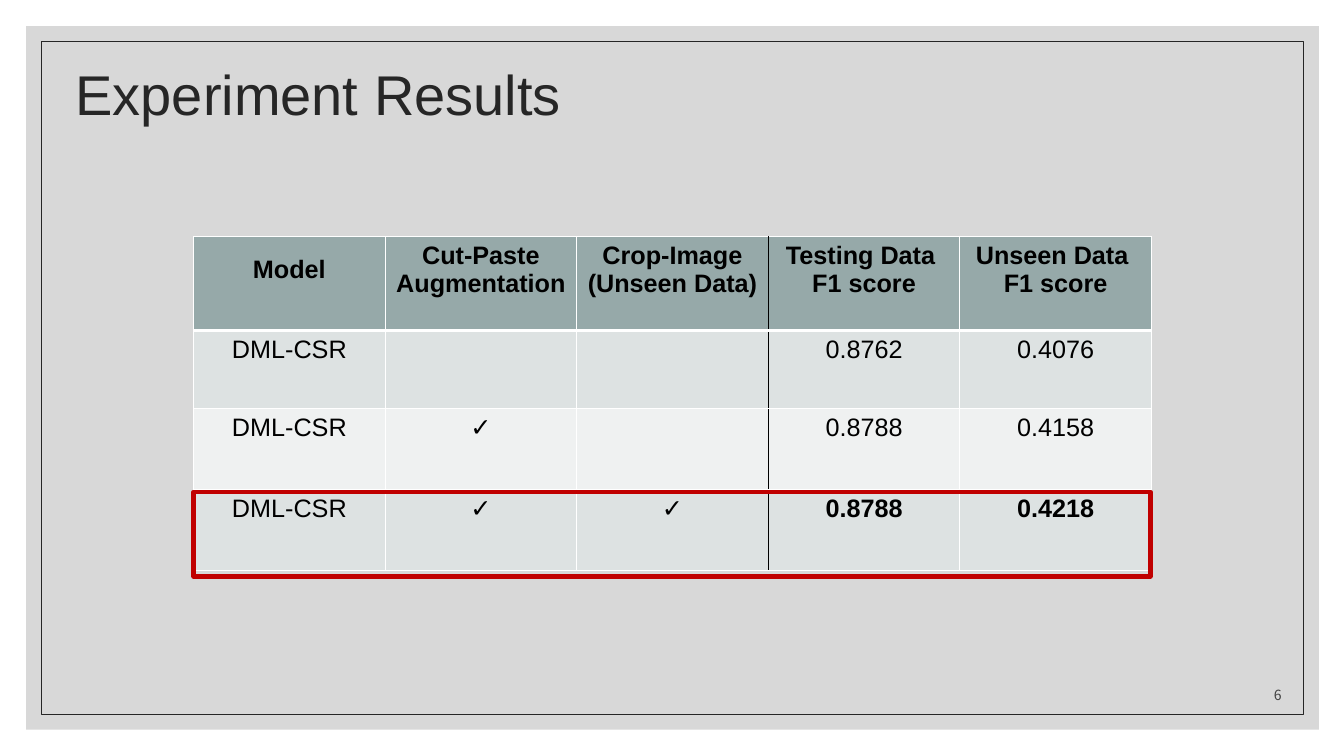
from pptx import Presentation
from pptx.dml.color import RGBColor
from pptx.enum.shapes import MSO_SHAPE as Shape
from pptx.enum.text import MSO_ANCHOR as Anchor, PP_ALIGN as Align
from pptx.oxml.ns import qn
from pptx.util import Inches, Pt
from lxml.etree import SubElement

WHITE = RGBColor(0xFF, 0xFF, 0xFF)
BLACK = RGBColor(0x00, 0x00, 0x00)
GRAY = RGBColor(0xBF, 0xBF, 0xBF)
INK = RGBColor(0x26, 0x26, 0x26)
FAINT = RGBColor(0x40, 0x40, 0x40)
HEAD = RGBColor(0x96, 0xA9, 0xA9)
BAND = RGBColor(0xDD, 0xE2, 0xE2)
PALE = RGBColor(0xEF, 0xF1, 0xF1)
RED = RGBColor(0xC0, 0x00, 0x00)

ROWS = [
    ["Model", "Cut-Paste\nAugmentation", "Crop-Image\n(Unseen Data)",
     "Testing Data \nF1 score", "Unseen Data \nF1 score"],
    ["DML-CSR", "", "", "0.8762", "0.4076"],
    ["DML-CSR", "✓", "", "0.8788", "0.4158"],
    ["DML-CSR", "✓", "✓", "0.8788", "0.4218"],
]
HEIGHTS = [0.93, 0.77, 0.81, 0.8]
WIDTH = 1.9
SPLIT = 3  # first score column, set off by a black rule


def add_box(slide, left, top, width, height, fill=None, line=None, weight=1):
    box = slide.shapes.add_shape(Shape.RECTANGLE, Inches(left), Inches(top),
                                 Inches(width), Inches(height))
    box.shadow.inherit = False
    if fill is None:
        box.fill.background()
    else:
        box.fill.solid()
        box.fill.fore_color.rgb = fill
    if line is None:
        box.line.fill.background()
    else:
        box.line.color.rgb = line
        box.line.width = Pt(weight)
    return box


def set_alpha(shape, percent):
    color = shape.fill._xPr.find(qn("a:solidFill"))[0]
    SubElement(color, qn("a:alpha"), val=str(percent * 1000))


def style(para, size, color, font="Arial", bold=False):
    for run in para.runs:
        run.font.size = Pt(size)
        run.font.name = font
        run.font.bold = bold
        run.font.color.rgb = color


def add_text(slide, left, top, width, height, text, anchor, align):
    box = slide.shapes.add_textbox(Inches(left), Inches(top),
                                   Inches(width), Inches(height))
    frame = box.text_frame
    frame.word_wrap = True
    frame.vertical_anchor = anchor
    frame.text = text
    para = frame.paragraphs[0]
    para.alignment = align
    return para


def set_edge(cell, side, color, weight):
    """Draw one cell border; side is L, R, T or B, called in that order."""
    props = cell._tc.get_or_add_tcPr()
    edge = SubElement(props, qn("a:ln" + side), w=str(Pt(weight)))
    fill = SubElement(edge, qn("a:solidFill"))
    SubElement(fill, qn("a:srgbClr"), val=str(color))


def fill_cell(cell, text, row, col):
    head = row == 0
    set_edge(cell, "L", BLACK if col == SPLIT else WHITE, 1)
    set_edge(cell, "R", BLACK if col == SPLIT - 1 else WHITE, 1)
    set_edge(cell, "T", WHITE, 3 if row == 1 else 1)
    set_edge(cell, "B", WHITE, 3 if head else 1)
    cell.fill.solid()
    cell.fill.fore_color.rgb = HEAD if head else BAND if row % 2 else PALE
    cell.text_frame.text = text
    best = row == len(ROWS) - 1 and col >= SPLIT
    for para in cell.text_frame.paragraphs:
        para.alignment = Align.CENTER
        style(para, 18, BLACK, bold=head or best or text == "✓")
    if head and col == 0:
        cell.text_frame.paragraphs[0].line_spacing = 1.5


def add_scores(slide, left, top):
    count = len(ROWS[0])
    frame = slide.shapes.add_table(len(ROWS), count, Inches(left), Inches(top),
                                   Inches(WIDTH * count), Inches(sum(HEIGHTS)))
    table = frame.table
    for col in table.columns:
        col.width = Inches(WIDTH)
    for row, texts in enumerate(ROWS):
        table.rows[row].height = Inches(HEIGHTS[row])
        for col, text in enumerate(texts):
            fill_cell(table.cell(row, col), text, row, col)


def main():
    deck = Presentation()
    deck.slide_width, deck.slide_height = Inches(13.33), Inches(7.5)
    slide = deck.slides.add_slide(deck.slide_layouts[6])
    panel = add_box(slide, 0.26, 0.26, 12.82, 6.98, fill=GRAY)
    set_alpha(panel, 60)
    add_box(slide, 0.41, 0.41, 12.52, 6.68, line=INK, weight=0.5)
    title = add_text(slide, 0.65, 0.4, 12.03, 1.14, "Experiment Results",
                     Anchor.MIDDLE, Align.LEFT)
    title.line_spacing = 0.9
    style(title, 40, INK)
    number = add_text(slide, 11.89, 6.63, 0.92, 0.4, "6",
                      Anchor.BOTTOM, Align.RIGHT)
    style(number, 10, FAINT, font="Noto Sans CJK TC")
    add_scores(slide, 1.92, 2.35)
    add_box(slide, 1.92, 4.88, 9.49, 0.84, line=RED, weight=3)
    deck.save("out.pptx")


if __name__ == "__main__":
    main()
